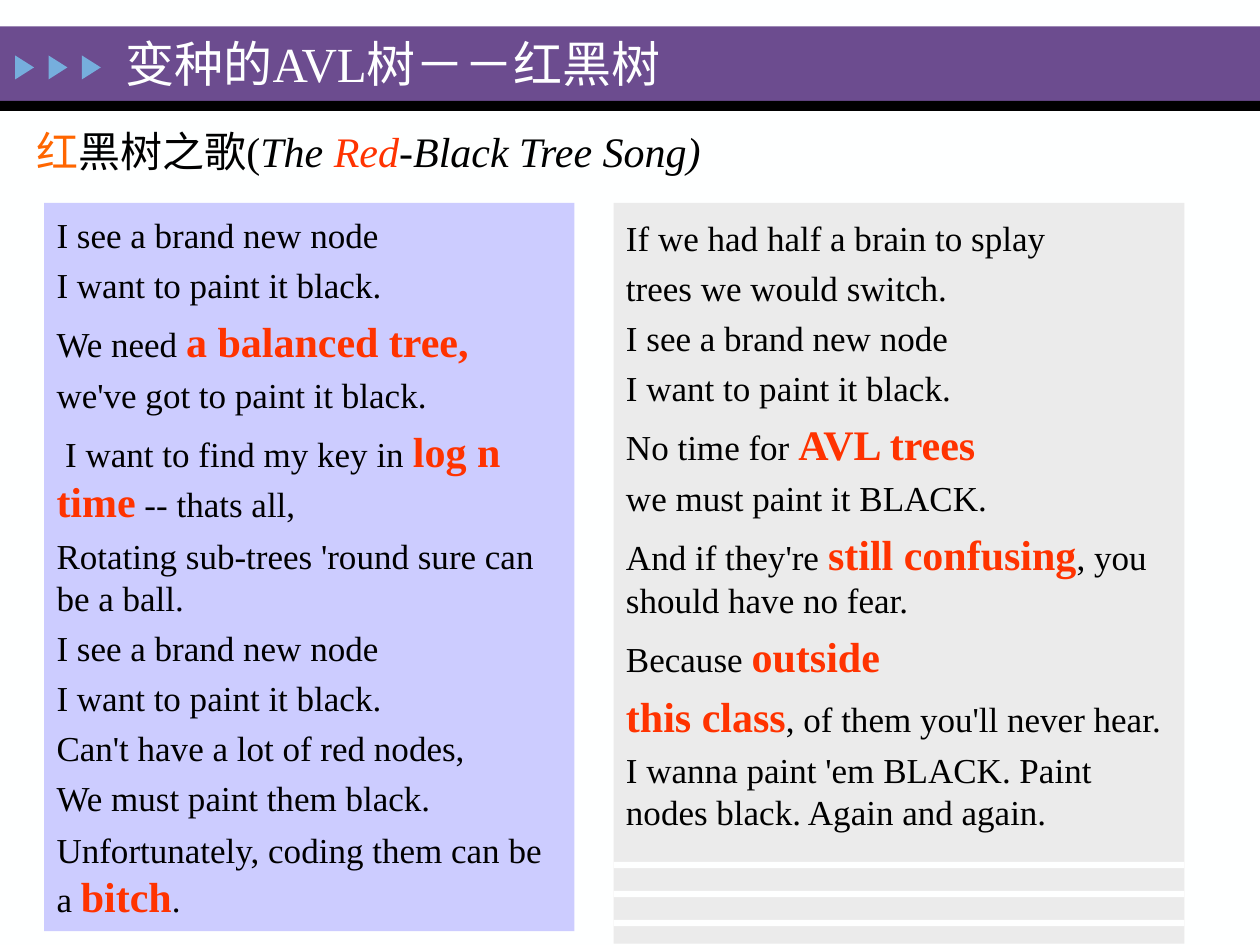
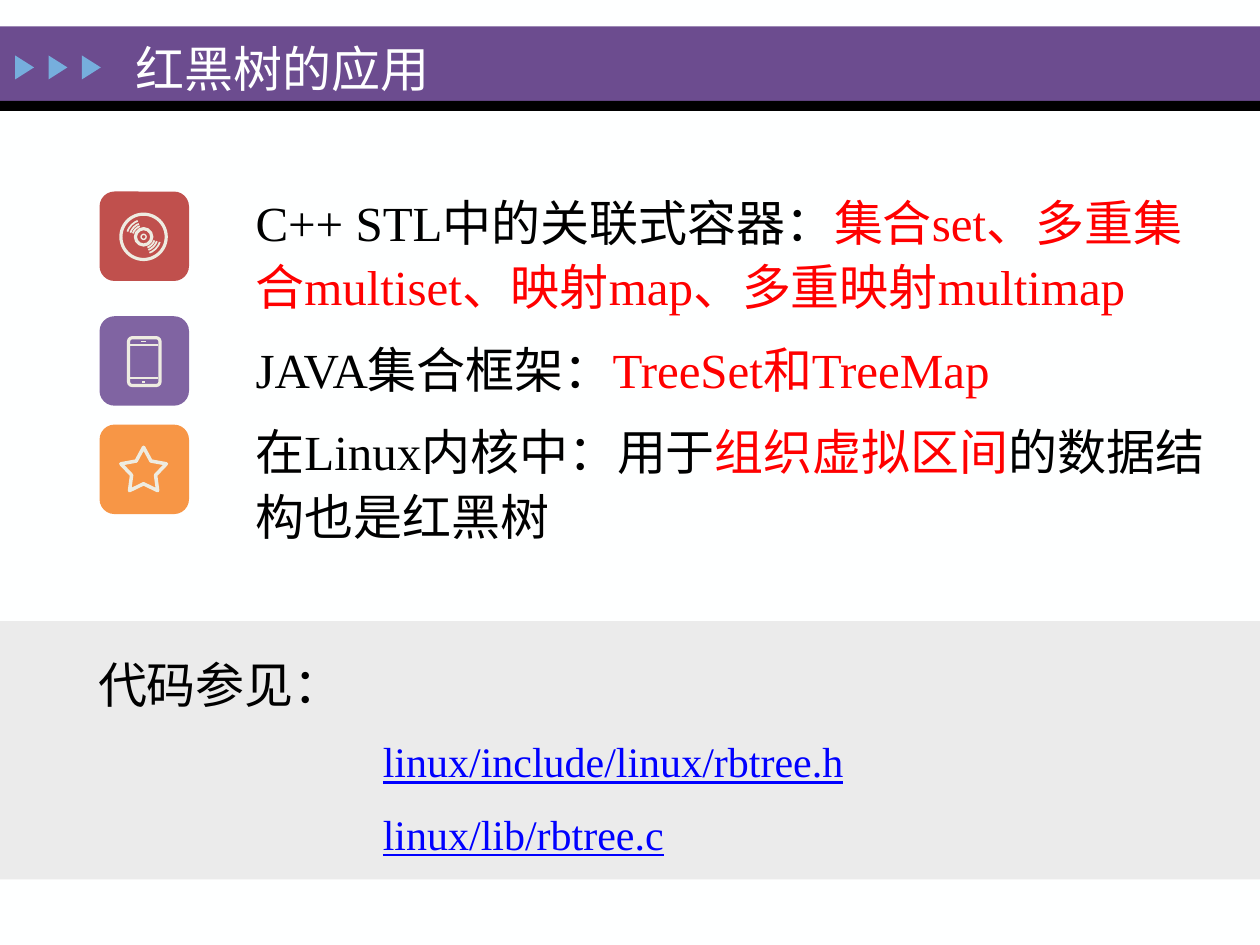
from math import cos, pi, sin

from pptx import Presentation
from pptx.dml.color import RGBColor
from pptx.enum.shapes import MSO_CONNECTOR, MSO_SHAPE
from pptx.enum.text import MSO_ANCHOR
from pptx.oxml.ns import qn
from pptx.util import Inches, Pt
from lxml import etree

RECT, ROUND, OVAL = MSO_SHAPE.RECTANGLE, MSO_SHAPE.ROUNDED_RECTANGLE, MSO_SHAPE.OVAL
ARC, TRIANGLE = MSO_SHAPE.ARC, MSO_SHAPE.ISOSCELES_TRIANGLE
STRAIGHT = MSO_CONNECTOR.STRAIGHT
TOP, MIDDLE = MSO_ANCHOR.TOP, MSO_ANCHOR.MIDDLE

FONT = "Times New Roman"
PAPER = RGBColor(0xFE, 0xFF, 0xFF)
BLACK = RGBColor(0, 0, 0)
PURPLE = RGBColor(0x6C, 0x4C, 0x8F)
SKY = RGBColor(0x76, 0xAE, 0xDD)
LILAC = RGBColor(0xCC, 0xCC, 0xFF)
GREY = RGBColor(0xEB, 0xEB, 0xEB)
SCARLET = RGBColor(0xFF, 0x33, 0x00)
ORANGE = RGBColor(0xFF, 0x66, 0x00)
RED = RGBColor(0xFF, 0, 0)
BLUE = RGBColor(0, 0, 0xFF)
CREAM = RGBColor(0xEE, 0xEC, 0xE1)
TILE_RED = RGBColor(0xC0, 0x50, 0x4D)
TILE_PURPLE = RGBColor(0x80, 0x64, 0xA2)
TILE_ORANGE = RGBColor(0xF7, 0x96, 0x46)

# Content: a paragraph is a list of runs, a run is text or (text, format)
STRONG = {"size": 24, "color": SCARLET, "bold": True}
LINK = {"size": 24, "color": BLUE, "underline": True}
ITALIC = {"italic": True}
HOT = {"color": RED}

SONG_TITLE = [[("红", {"color": ORANGE}), "黑树之歌(", ("The ", ITALIC),
               ("Red", {"italic": True, "color": SCARLET}),
               ("-Black Tree Song)", ITALIC)]]
VERSE_LEFT = [
    ["I see a brand new node"],
    ["I want to paint it black."],
    ["We need ", ("a balanced tree,", STRONG)],
    ["we've got to paint it black."],
    [" I want to find my key in ", ("log n time", STRONG), " -- thats all,"],
    ["Rotating sub-trees 'round sure can be a ball."],
    ["I see a brand new node"],
    ["I want to paint it black."],
    ["Can't have a lot of red nodes,"],
    ["We must paint them black."],
    ["Unfortunately, coding them can be a ", ("bitch", STRONG), "."],
]
VERSE_RIGHT = [
    ["If we had half a brain to splay"],
    ["trees we would switch."],
    ["I see a brand new node"],
    ["I want to paint it black."],
    ["No time for ", ("AVL trees", STRONG)],
    ["we must paint it BLACK."],
    ["And if they're ", ("still confusing", STRONG), ", you should have no fear."],
    ["Because ", ("outside", STRONG)],
    [("this class", STRONG), ", of them you'll never hear."],
    ["I wanna paint 'em BLACK. Paint nodes black. Again and again."],
]
USES = [
    ["C++ STL中的关联式容器：",
     ("集合set、多重集合multiset、映射map、多重映射multimap", HOT)],
    ["JAVA集合框架：", ("TreeSet和TreeMap", HOT)],
    ["在Linux内核中：用于", ("组织虚拟区间", HOT), "的数据结构也是红黑树"],
]
SOURCES = [["代码参见："], [("linux/include/linux/rbtree.h", LINK)],
           [("linux/lib/rbtree.c", LINK)]]
SOURCE_INDENTS = [0.18, 2.44, 2.44]


def add_shape(page, kind, left, top, width, height, fill=None, line=None, weight=1):
    shape = page.shapes.add_shape(kind, Inches(left), Inches(top),
                                  Inches(width), Inches(height))
    paint(shape, fill, line, weight)
    return shape


def paint(shape, fill, line, weight):
    shape.shadow.inherit = False
    if fill is None:
        shape.fill.background()
    else:
        shape.fill.solid()
        shape.fill.fore_color.rgb = fill
    if line is None:
        shape.line.fill.background()
    else:
        shape.line.color.rgb = line
        shape.line.width = Pt(weight)


def write(box, paragraphs, size, color=BLACK, anchor=MIDDLE, spacing=1.0,
          before=None, indents=None):
    """Fill a box; without a fixed gap, each gap follows the largest run."""
    frame = box.text_frame
    frame.word_wrap = True
    frame.vertical_anchor = anchor
    for index, runs in enumerate(paragraphs):
        para = frame.paragraphs[0] if index == 0 else frame.add_paragraph()
        para.alignment = 1
        para.line_spacing = spacing
        runs = [(run, {}) if isinstance(run, str) else run for run in runs]
        if index:
            largest = max(style.get("size", size) for _, style in runs)
            para.space_before = Pt(before or round(0.23 * largest, 1))
        if indents:
            para._p.get_or_add_pPr().set("marL", str(Inches(indents[index])))
        for text, style in runs:
            span = para.add_run()
            span.text = text
            values = {"size": size, "color": color, "name": FONT, **style}
            span.font.color.rgb = values.pop("color")
            values["size"] = Pt(values["size"])
            for name, value in values.items():
                setattr(span.font, name, value)


def add_text(page, left, top, width, height, paragraphs, size, **options):
    box = page.shapes.add_textbox(Inches(left), Inches(top),
                                  Inches(width), Inches(height))
    write(box, paragraphs, size, **options)


def add_page(deck, title, left, top, width, height):
    """A page with the title band, the rule, three arrowheads and a title."""
    page = deck.slides.add_slide(deck.slide_layouts[6])
    page.background.fill.solid()
    page.background.fill.fore_color.rgb = PAPER
    add_shape(page, RECT, 0, 0.21, 10, 0.59, PURPLE)
    add_shape(page, RECT, 0, 0.8, 10, 0.08, BLACK)
    for step in range(3):
        arrow = add_shape(page, TRIANGLE, 0.1 + 0.265 * step, 0.46, 0.19, 0.15, SKY)
        arrow.rotation = 90
    add_text(page, left, top, width, height, [[title]], 28, color=PAPER)
    return page


# Icons, each drawn around its own centre
def draw_ring(page, x, y, radius, weight):
    add_shape(page, OVAL, x - radius, y - radius, 2 * radius, 2 * radius,
              line=CREAM, weight=weight)


def draw_disc(page, x, y):
    for radius, weight in [(0.18, 1.8), (0.065, 1.8), (0.02, 0.8)]:
        draw_ring(page, x, y, radius, weight)
    for radius in (0.09, 0.11, 0.135):
        for start in (18, 198):
            groove = add_shape(page, ARC, x - radius, y - radius, 2 * radius,
                               2 * radius, line=CREAM, weight=1)
            for number, degrees in enumerate((start, start + 52)):
                groove.adjustments[number] = degrees * 0.6


def draw_phone(page, x, y):
    case = add_shape(page, ROUND, x - 0.12, y - 0.19, 0.25, 0.38,
                     line=CREAM, weight=1.8)
    case.adjustments[0] = 0.12
    for half, offset in [(0.11, -0.13), (0.11, 0.13), (0.02, -0.16), (0.01, 0.16)]:
        edge = page.shapes.add_connector(STRAIGHT, Inches(x - half), Inches(y + offset),
                                         Inches(x + half), Inches(y + offset))
        edge.line.color.rgb = CREAM
        edge.line.width = Pt(0.9)
        etree.SubElement(edge._element.spPr, qn("a:effectLst"))


def draw_star(page, x, y):
    points = []
    for corner in range(10):
        radius = 0.1 if corner % 2 else 0.19
        angle = corner * pi / 5
        points.append((Inches(x + radius * sin(angle)),
                       Inches(y + 0.01 - radius * cos(angle))))
    builder = page.shapes.build_freeform(*points[0])
    builder.add_line_segments(points[1:], close=True)
    paint(builder.convert_to_shape(), None, CREAM, 2)


def build_song(deck):
    page = add_page(deck, "变种的AVL树－－红黑树", 0.9, 0.22, 5.9, 0.56)
    add_text(page, 0.19, 0.92, 7.66, 0.56, SONG_TITLE, 24)
    write(add_shape(page, RECT, 0.35, 1.61, 4.21, 5.78, LILAC), VERSE_LEFT, 20)
    right = add_shape(page, RECT, 4.87, 1.61, 4.53, 5.88, GREY)
    right.text_frame.margin_bottom = Inches(0.82)
    write(right, VERSE_RIGHT, 20)
    # Pale stripes across the foot of the right verse
    for stripe in range(3):
        add_shape(page, RECT, 4.87, 6.84 + 0.23 * stripe, 4.53, 0.05, PAPER)


def build_uses(deck):
    page = add_page(deck, "红黑树的应用", 0.98, 0.23, 8.08, 0.62)
    add_shape(page, RECT, 0, 4.93, 10, 2.05, GREY)
    add_text(page, 0.5, 5.03, 9.5, 1.88, SOURCES, 28, anchor=TOP,
             spacing=1.25, indents=SOURCE_INDENTS)
    tiles = [(1.52, TILE_RED, draw_disc), (2.51, TILE_PURPLE, draw_phone),
             (3.37, TILE_ORANGE, draw_star)]
    for top, color, draw_icon in tiles:
        add_shape(page, ROUND, 0.79, top, 0.71, 0.71, color)
        draw_icon(page, 1.14, top + 0.36)
    add_text(page, 1.93, 1.43, 7.8, 2.95, USES, 28, anchor=TOP,
             spacing=1.1, before=10)


def main():
    deck = Presentation()
    deck.slide_width, deck.slide_height = Inches(10), Inches(7.5)
    build_song(deck)
    build_uses(deck)
    deck.save("out.pptx")


if __name__ == "__main__":
    main()
